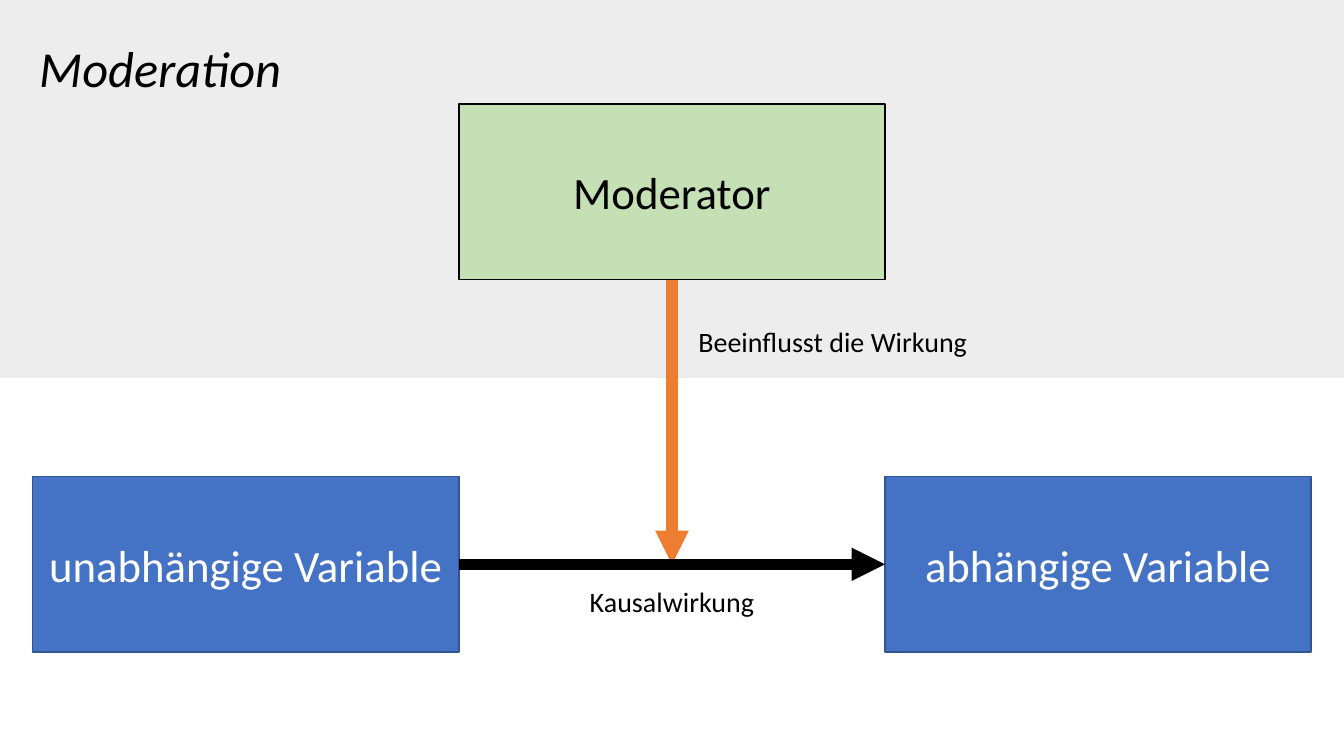
from dataclasses import dataclass

from lxml import etree
from pptx import Presentation
from pptx import util as u
from pptx.dml.color import RGBColor
from pptx.enum import shapes, text
from pptx.oxml.ns import qn

# Layout in centimetres: three equal columns centred on the slide
SLIDE_WIDTH, SLIDE_HEIGHT = 33.87, 19.05
BOX_WIDTH, BOX_HEIGHT = 10.74, 4.42
MARGIN = (SLIDE_WIDTH - 3 * BOX_WIDTH) / 2
COLUMNS = [MARGIN + column * BOX_WIDTH for column in range(3)]
MODERATOR_TOP, VARIABLE_TOP = 2.62, 12.01
CENTRE_X = SLIDE_WIDTH / 2
CAUSAL_Y = VARIABLE_TOP + BOX_HEIGHT / 2

BLACK, WHITE, GREY = "000000", "FFFFFF", "EDEDED"
BLUE, DARK_BLUE, GREEN, ORANGE = "4472C4", "325491", "C5E0B4", "ED7D31"
LEFT, CENTRE = text.PP_ALIGN.LEFT, text.PP_ALIGN.CENTER


@dataclass
class Box:
    label: str
    left: float
    top: float
    fill: str
    line: str
    color: str


@dataclass
class Arrow:
    start: tuple[float, float]
    end: tuple[float, float]
    color: str


@dataclass
class Label:
    words: str
    left: float
    top: float
    width: float
    height: float
    size: int = 20
    align: text.PP_ALIGN = LEFT
    italic: bool = False


def rgb(color: str) -> RGBColor:
    return RGBColor.from_string(color)


def write(frame, words: str, size: int, color: str, align, italic: bool = False) -> None:
    paragraph = frame.paragraphs[0]
    paragraph.alignment = align
    run = paragraph.add_run()
    run.text = words
    run.font.name = "Calibri"
    run.font.size = u.Pt(size)
    run.font.italic = italic
    run.font.color.rgb = rgb(color)


def add_rectangle(left: float, top: float, width: float, height: float, fill: str):
    shape = slide.shapes.add_shape(
        shapes.MSO_SHAPE.RECTANGLE, u.Cm(left), u.Cm(top), u.Cm(width), u.Cm(height))
    shape.shadow.inherit = False
    shape.fill.solid()
    shape.fill.fore_color.rgb = rgb(fill)
    return shape


def add_box(box: Box) -> None:
    shape = add_rectangle(box.left, box.top, BOX_WIDTH, BOX_HEIGHT, box.fill)
    shape.line.color.rgb = rgb(box.line)
    shape.line.width = u.Pt(1)
    shape.text_frame.vertical_anchor = text.MSO_ANCHOR.MIDDLE
    write(shape.text_frame, box.label, 32, box.color, CENTRE)


def add_arrow(arrow: Arrow) -> None:
    points = [u.Cm(value) for value in (*arrow.start, *arrow.end)]
    connector = slide.shapes.add_connector(shapes.MSO_CONNECTOR.STRAIGHT, *points)
    connector.line.color.rgb = rgb(arrow.color)
    connector.line.width = u.Pt(8)
    etree.SubElement(connector.line._get_or_add_ln(), qn("a:tailEnd"), type="triangle")
    etree.SubElement(connector._element.spPr, qn("a:effectLst"))


def add_label(label: Label) -> None:
    shape = slide.shapes.add_textbox(
        u.Cm(label.left), u.Cm(label.top), u.Cm(label.width), u.Cm(label.height))
    frame = shape.text_frame
    frame.word_wrap = False
    frame.auto_size = text.MSO_AUTO_SIZE.SHAPE_TO_FIT_TEXT
    write(frame, label.words, label.size, BLACK, label.align, label.italic)


presentation = Presentation()
presentation.slide_width = u.Cm(SLIDE_WIDTH)
presentation.slide_height = u.Cm(SLIDE_HEIGHT)
slide = presentation.slides.add_slide(presentation.slide_layouts[6])

# Grey upper half
background = add_rectangle(0, 0, SLIDE_WIDTH, SLIDE_HEIGHT / 2, GREY)
background.line.fill.background()

# Variables, moderator and their effects, from back to front
add_box(Box("unabhängige Variable", COLUMNS[0], VARIABLE_TOP, BLUE, DARK_BLUE, WHITE))
add_box(Box("abhängige Variable", COLUMNS[2], VARIABLE_TOP, BLUE, DARK_BLUE, WHITE))
add_arrow(Arrow((CENTRE_X, MODERATOR_TOP + BOX_HEIGHT), (CENTRE_X, CAUSAL_Y), ORANGE))
add_box(Box("Moderator", COLUMNS[1], MODERATOR_TOP, GREEN, BLACK, BLACK))
add_arrow(Arrow((COLUMNS[1], CAUSAL_Y), (COLUMNS[2], CAUSAL_Y), BLACK))

# Effect labels and title
LABELS = [
    Label("Kausalwirkung", CENTRE_X - 2.35, 14.61, 4.7, 1.11, align=CENTRE),
    Label("Beeinflusst die Wirkung", 17.35, 8.05, 7.37, 1.11),
    Label("Moderation", 0.74, 0.81, 6.68, 1.8, size=36, italic=True),
]
for label in LABELS:
    add_label(label)

presentation.save("out.pptx")
